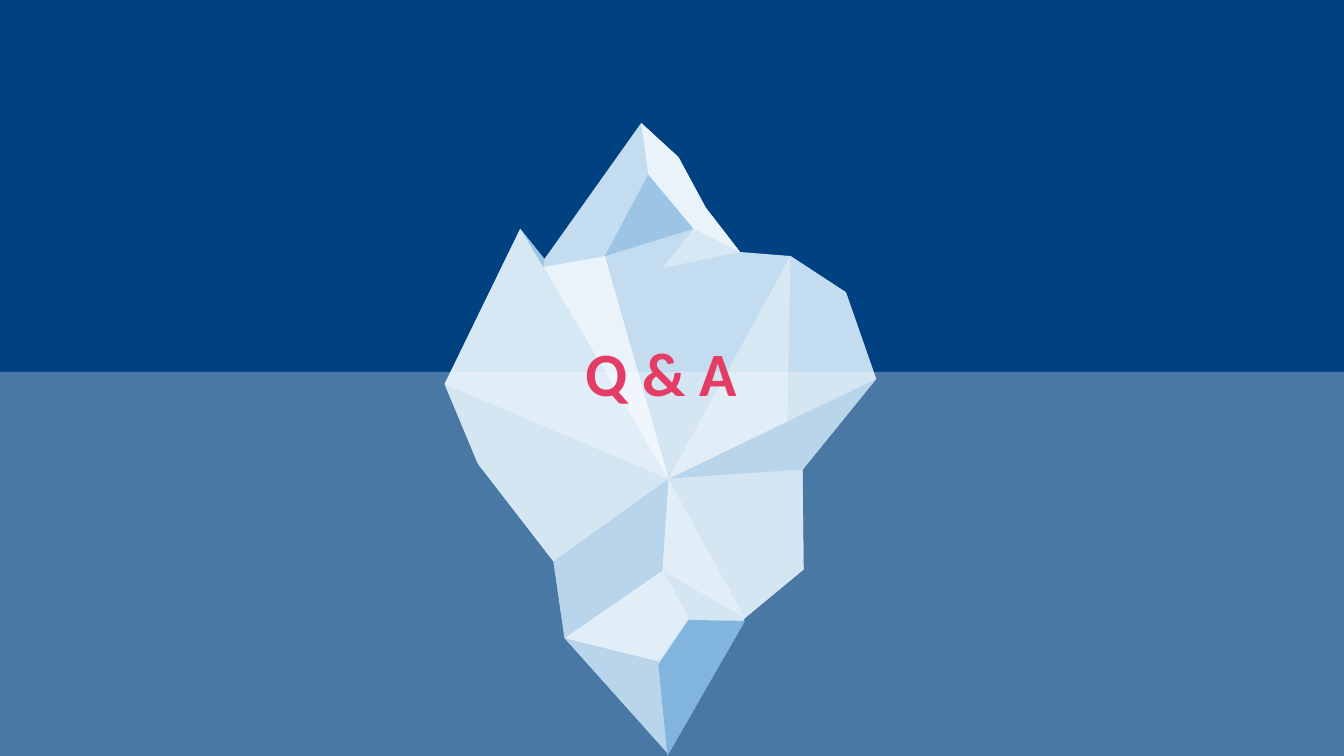
from dataclasses import dataclass

import pptx
import pptx.dml.color
import pptx.enum.shapes
import pptx.enum.text
import pptx.oxml.ns
import pptx.shapes.base
import pptx.shapes.group
import pptx.slide
import pptx.util
from lxml import etree

EMU_PER_PX = 9144  # 100 px to the inch
SLIDE_WIDTH, SLIDE_HEIGHT = 1333, 750

Point = tuple[int, int]


@dataclass(frozen=True)
class Theme:
    sky: str = "004281"
    water: str = "FFFFFF"
    water_opacity: int = 29
    ice_white: str = "EBF3FA"
    ice_pale: str = "D7E8F5"
    ice_light: str = "C4DCEF"
    ice_mid: str = "9CC5E5"
    ice_deep: str = "5098D1"
    title: str = "E43C64"
    title_font: str = "Calibri"
    title_size: int = 44


@dataclass(frozen=True)
class Facet:
    color: str
    points: tuple[Point, ...]


THEME = Theme()

# Corners shared by the facets of the iceberg
PEAK, PEAK_FOOT, PEAK_INNER = (636, 122), (643, 173), (688, 227)
RIDGE_UPPER, RIDGE_LOWER, SADDLE = (673, 156), (700, 206), (734, 250)
SHOULDER, SHOULDER_EDGE, EAST, SHOULDER_FOOT = (784, 254), (839, 290), (869, 376), (781, 418)
WAIST, HIP, KNEE, TIP = (796, 466), (797, 565), (739, 613), (662, 747)
KEEL_WEST, FLANK_LOWER, FLANK_UPPER, WEST = (560, 633), (549, 557), (474, 460), (441, 381)
HORN, NOTCH, NOTCH_FOOT, SLOPE = (516, 227), (540, 257), (539, 265), (600, 254)
CENTER, KEEL_TOP, KEEL_MID = (663, 475), (657, 566), (653, 656)

FACETS: tuple[Facet, ...] = (
    # Whole outline
    Facet(THEME.ice_light, (PEAK, RIDGE_UPPER, RIDGE_LOWER, SADDLE, SHOULDER, SHOULDER_EDGE,
                            EAST, WAIST, HIP, KNEE, TIP, KEEL_WEST, FLANK_LOWER,
                            FLANK_UPPER, WEST, HORN, NOTCH)),
    # Shoulder and peak
    Facet(THEME.ice_light, (SHOULDER, SHOULDER_EDGE, EAST, SHOULDER_FOOT)),
    Facet(THEME.ice_pale, (PEAK_INNER, SADDLE, (657, 266))),
    Facet(THEME.ice_mid, (PEAK_FOOT, PEAK_INNER, SLOPE)),
    Facet(THEME.ice_white, (PEAK, RIDGE_UPPER, RIDGE_LOWER, SADDLE, PEAK_INNER, PEAK_FOOT)),
    Facet(THEME.ice_mid, (HORN, NOTCH, NOTCH_FOOT)),
    # Flanks and keel
    Facet(THEME.ice_mid, (EAST, WAIST, CENTER)),
    Facet(THEME.ice_light, (WEST, CENTER, FLANK_LOWER, FLANK_UPPER)),
    Facet(THEME.ice_mid, (KEEL_WEST, KEEL_MID, TIP)),
    Facet(THEME.ice_pale, (CENTER, KNEE, KEEL_TOP)),
    Facet(THEME.ice_deep, ((683, 615), (739, 616), (662, 750), (653, 659))),
    # Facets that meet at the center
    Facet(THEME.ice_pale, (HORN, CENTER, WEST)),
    Facet(THEME.ice_light, (WAIST, HIP, KNEE, CENTER)),
    Facet(THEME.ice_white, (SLOPE, CENTER, NOTCH_FOOT)),
    Facet(THEME.ice_pale, (SHOULDER, SHOULDER_FOOT, CENTER)),
    Facet(THEME.ice_pale, (KEEL_TOP, (683, 612), KEEL_MID, KEEL_WEST)),
    Facet(THEME.ice_mid, (CENTER, KEEL_TOP, KEEL_WEST, FLANK_LOWER)),
)


def px(length: int) -> pptx.util.Emu:
    return pptx.util.Emu(length * EMU_PER_PX)


def rgb(color: str) -> pptx.dml.color.RGBColor:
    return pptx.dml.color.RGBColor.from_string(color)


def paint(shape: pptx.shapes.base.BaseShape, color: str) -> None:
    shape.shadow.inherit = False
    shape.fill.solid()
    shape.fill.fore_color.rgb = rgb(color)
    shape.line.fill.background()


def draw_facet(group: pptx.shapes.group.GroupShape, facet: Facet) -> None:
    start, *others = facet.points
    builder = group.shapes.build_freeform(*start, scale=EMU_PER_PX)
    builder.add_line_segments(others, close=True)
    paint(builder.convert_to_shape(), facet.color)


def draw_water(slide: pptx.slide.Slide) -> None:
    water = slide.shapes.add_shape(
        pptx.enum.shapes.MSO_SHAPE.RECTANGLE, px(-4), px(369), px(1342), px(381))
    paint(water, THEME.water)
    color = water._element.spPr.find(".//" + pptx.oxml.ns.qn("a:srgbClr"))
    alpha = etree.SubElement(color, pptx.oxml.ns.qn("a:alpha"))
    alpha.set("val", str(THEME.water_opacity * 1000))


def write_title(slide: pptx.slide.Slide) -> None:
    title = slide.shapes.title
    title.left, title.top, title.width, title.height = px(503), px(327), px(306), px(84)
    frame = title.text_frame
    frame.word_wrap = True
    frame.auto_size = pptx.enum.text.MSO_AUTO_SIZE.SHAPE_TO_FIT_TEXT
    frame.vertical_anchor = pptx.enum.text.MSO_ANCHOR.TOP
    paragraph = frame.paragraphs[0]
    paragraph.alignment = pptx.enum.text.PP_ALIGN.CENTER
    run = paragraph.add_run()
    run.text = "Q & A"
    run.font.name = THEME.title_font
    run.font.size = pptx.util.Pt(THEME.title_size)
    run.font.bold = True
    run.font.color.rgb = rgb(THEME.title)
    # Bring the title in front of the iceberg and the water
    slide.shapes._spTree.append(title._element)


def main() -> None:
    presentation = pptx.Presentation()
    presentation.slide_width, presentation.slide_height = px(SLIDE_WIDTH), px(SLIDE_HEIGHT)
    slide = presentation.slides.add_slide(presentation.slide_layouts.get_by_name("Title Only"))

    # Sky
    slide.background.fill.solid()
    slide.background.fill.fore_color.rgb = rgb(THEME.sky)

    # Iceberg, half under water
    iceberg = slide.shapes.add_group_shape()
    for facet in FACETS:
        draw_facet(iceberg, facet)
    draw_water(slide)

    write_title(slide)
    presentation.save("out.pptx")


if __name__ == "__main__":
    main()
